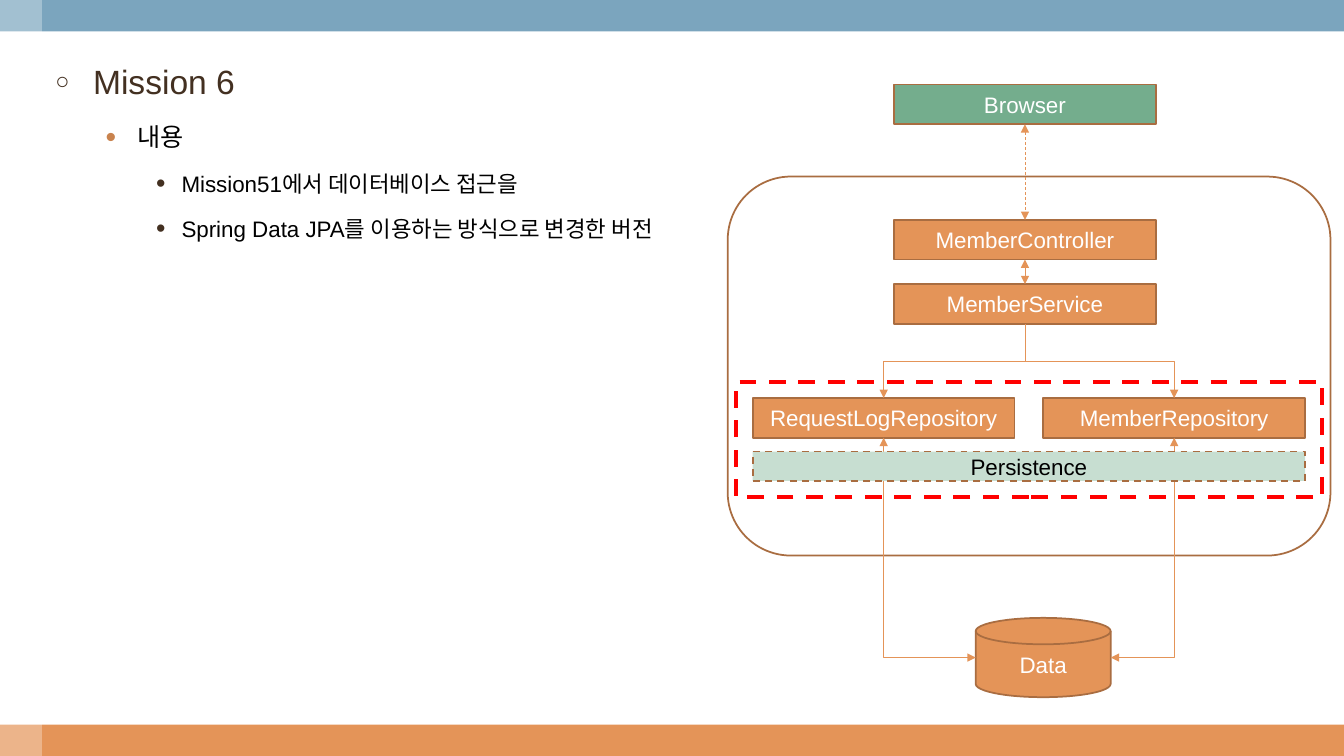
from dataclasses import dataclass

from lxml import etree
from pptx import Presentation
from pptx.dml.color import RGBColor
from pptx.enum.dml import MSO_LINE
from pptx.enum.shapes import MSO_CONNECTOR, MSO_SHAPE
from pptx.enum.text import MSO_ANCHOR, MSO_AUTO_SIZE, PP_ALIGN
from pptx.oxml.ns import qn
from pptx.util import Cm, Pt

RECT, ROUNDED = MSO_SHAPE.RECTANGLE, MSO_SHAPE.ROUNDED_RECTANGLE
DISK = MSO_SHAPE.FLOWCHART_MAGNETIC_DISK
STRAIGHT, ELBOW = MSO_CONNECTOR.STRAIGHT, MSO_CONNECTOR.ELBOW
DASH = MSO_LINE.DASH
CENTER, MIDDLE, TOP = PP_ALIGN.CENTER, MSO_ANCHOR.MIDDLE, MSO_ANCHOR.TOP
NO_FIT = MSO_AUTO_SIZE.NONE


@dataclass(frozen=True)
class Theme:
    """Colours, font and type sizes of the deck."""
    font: str = "Arial"
    orange: str = "E49458"
    blue: str = "7BA5BE"
    outline: str = "A96D41"
    green: str = "74AD8D"
    pale_green: str = "C7DED1"
    red: str = "FF0000"
    brown: str = "433021"
    bullet: str = "C9834E"
    white: str = "FFFFFF"
    black: str = "000000"
    label_size: int = 16
    level_sizes: tuple = (24, 18, 16)


THEME = Theme()
LEVELS = (
    (0.95, 0.95, "○", 70, THEME.brown, THEME.brown),
    (2.06, 0.79, "•", 120, THEME.bullet, THEME.black),
    (3.18, 0.64, "•", 120, THEME.brown, THEME.black),
)
OUTLINE = (
    (0, "Mission 6"),
    (1, "내용"),
    (2, "Mission51에서 데이터베이스 접근을"),
    (2, "Spring Data JPA를 이용하는 방식으로 변경한 버전"),
)


def rgb(code):
    """Turn a hex code into a colour."""
    return RGBColor.from_string(code)


def add_block(page, kind, box, fill=None, line=None, weight=1.25, dash=None):
    """Add a flat shape to the box, given in centimetres."""
    block = page.shapes.add_shape(kind, *map(Cm, box))
    block.shadow.inherit = False
    if fill:
        block.fill.solid()
        block.fill.fore_color.rgb = rgb(fill)
    else:
        block.fill.background()
    if line:
        block.line.color.rgb = rgb(line)
        block.line.width = Pt(weight)
        block.line.dash_style = dash
    else:
        block.line.fill.background()
    return block


def add_label(block, text, color=THEME.white):
    """Write a centred label in a block."""
    frame = block.text_frame
    frame.vertical_anchor = MIDDLE
    frame.margin_top = frame.margin_bottom = 0
    para = frame.paragraphs[0]
    para.text = text
    para.alignment = CENTER
    para.font.name = THEME.font
    para.font.size = Pt(THEME.label_size)
    para.font.color.rgb = rgb(color)


def style_arrow(arrow, ends, dash=None):
    """Give a connector its thin line and arrowheads."""
    arrow.line.color.rgb = rgb(THEME.orange)
    arrow.line.width = Pt(0.5)
    arrow.line.dash_style = dash
    for end in ends:
        etree.SubElement(arrow.line._get_or_add_ln(), qn(f"a:{end}"), type="triangle")
    etree.SubElement(arrow._element.spPr, qn("a:effectLst"))


def add_straight(page, start, end, dash=None):
    """Add a two-headed straight arrow."""
    arrow = page.shapes.add_connector(STRAIGHT, *map(Cm, start + end))
    style_arrow(arrow, ("headEnd", "tailEnd"), dash)


def add_elbow(page, start, end, preset, ends):
    """Add a bent arrow that leaves its start downwards."""
    across, down = end[0] - start[0], end[1] - start[1]
    width, height = down, abs(across)
    left = (start[0] + end[0] - width) / 2
    top = (start[1] + end[1] - height) / 2
    arrow = page.shapes.add_connector(
        ELBOW, Cm(left), Cm(top), Cm(left + width), Cm(top + height))
    properties = arrow._element.spPr
    properties.find(qn("a:prstGeom")).set("prst", preset)
    transform = properties.find(qn("a:xfrm"))
    transform.set("rot", str((270 if across > 0 else 90) * 60000))
    if across > 0:
        transform.set("flipH", "1")
    style_arrow(arrow, ends)


def add_bars(page, width, height):
    """Draw the top and bottom bars and the pale strip at their left."""
    bar = 0.79
    add_block(page, RECT, (0, height - bar, width, bar), THEME.orange)
    add_block(page, RECT, (0, 0, width, bar), THEME.blue)
    strip = add_block(page, RECT, (0, 0, 1.06, height), THEME.white)
    color = strip._element.spPr.find(qn("a:solidFill"))[0]
    etree.SubElement(color, qn("a:alpha"), val="30000")


def add_bullet(para, level):
    """Set the indent and bullet of a list level."""
    margin, hang, mark, percent, color, _ = LEVELS[level]
    properties = para._p.get_or_add_pPr()
    properties.set("marL", str(Cm(margin)))
    properties.set("indent", str(-Cm(hang)))
    tint = etree.SubElement(properties, qn("a:buClr"))
    etree.SubElement(tint, qn("a:srgbClr"), val=color)
    etree.SubElement(properties, qn("a:buSzPct"), val=str(percent * 1000))
    etree.SubElement(properties, qn("a:buFont"), typeface=THEME.font)
    etree.SubElement(properties, qn("a:buChar"), char=mark)


def fill_outline(body, box):
    """Place the body placeholder and write the mission outline."""
    body.left, body.top, body.width, body.height = map(Cm, box)
    frame = body.text_frame
    frame.word_wrap, frame.auto_size, frame.vertical_anchor = True, NO_FIT, TOP
    for index, (level, text) in enumerate(OUTLINE):
        para = frame.add_paragraph() if index else frame.paragraphs[0]
        para.text, para.level = text, level
        size = THEME.level_sizes[level]
        para.line_spacing, para.space_before = 1.5, Pt(size * 0.2)
        add_bullet(para, level)
        para.font.name, para.font.size = THEME.font, Pt(size)
        para.font.color.rgb = rgb(LEVELS[level][-1])


def add_diagram(page, left, top):
    """Draw the layers from browser to database from a top left corner."""
    width, height = 6.6, 1
    column, wing, other_wing = left + 4.19, left + 0.63, left + 7.95
    controller, service, repository = top + 3.41, top + 5.03, top + 7.9
    middle = column + width / 2
    disk = (left + 6.25, top + 13.44, 3.4, 2)
    disk_middle = disk[1] + disk[3] / 2
    add_block(page, ROUNDED, (left, top + 2.32, 15.19, 9.55), THEME.white, THEME.outline)
    for text, x, y, fill in (
        ("Browser", column, top, THEME.green),
        ("MemberController", column, controller, THEME.orange),
        ("MemberService", column, service, THEME.orange),
        ("RequestLogRepository", wing, repository, THEME.orange),
        ("MemberRepository", other_wing, repository, THEME.orange),
    ):
        add_label(add_block(page, RECT, (x, y, width, height), fill, THEME.outline), text)
    add_label(add_block(page, DISK, disk, THEME.orange, THEME.outline), "Data")
    add_straight(page, (middle, top + height), (middle, controller), DASH)
    add_straight(page, (middle, controller + height), (middle, service))
    for x, side in ((wing, disk[0]), (other_wing, disk[0] + disk[2])):
        center = x + width / 2
        add_elbow(page, (middle, service + height), (center, repository),
                  "bentConnector3", ("tailEnd",))
        add_elbow(page, (center, repository + height), (side, disk_middle),
                  "bentConnector2", ("headEnd", "tailEnd"))
    layer = (wing, top + 9.25, other_wing + width - wing, 0.74)
    add_label(add_block(page, RECT, layer, THEME.pale_green, THEME.outline, dash=DASH),
              "Persistence", THEME.black)
    add_block(page, RECT, (left + 0.2, top + 7.5, 14.78, 2.9),
              line=THEME.red, weight=3, dash=DASH)


def build_deck():
    """Build and save the one-page deck."""
    deck = Presentation()
    width, height = 33.87, 19.05
    deck.slide_width, deck.slide_height = Cm(width), Cm(height)
    page = deck.slides.add_slide(deck.slide_layouts[1])
    title = page.shapes.title._element
    title.getparent().remove(title)
    add_bars(page, width, height)
    fill_outline(page.placeholders[1], (1.14, 0.91, 28.2, 17.2))
    add_diagram(page, 18.34, 2.13)
    deck.save("out.pptx")


build_deck()
